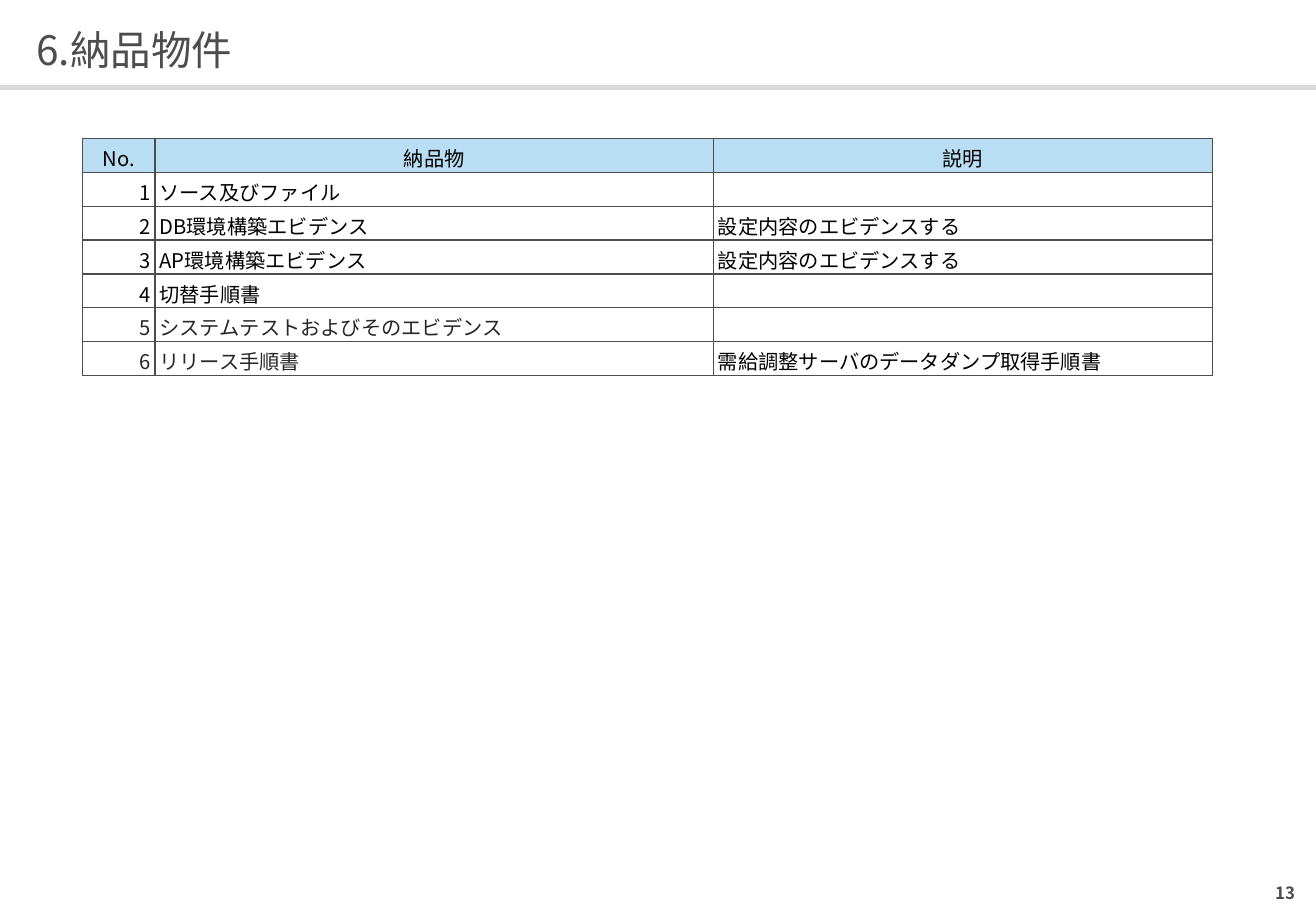
from dataclasses import dataclass

from lxml import etree
from pptx import Presentation
from pptx.dml.color import RGBColor
from pptx.enum.shapes import MSO_SHAPE
from pptx.enum.text import MSO_ANCHOR, MSO_AUTO_SIZE, PP_ALIGN
from pptx.oxml.ns import qn
from pptx.util import Pt

RECT = MSO_SHAPE.RECTANGLE
MIDDLE = MSO_ANCHOR.MIDDLE
NO_FIT = MSO_AUTO_SIZE.NONE
LEFT, CENTER, RIGHT = PP_ALIGN.LEFT, PP_ALIGN.CENTER, PP_ALIGN.RIGHT


@dataclass(frozen=True)
class Theme:
    font: str = "Noto Sans CJK JP"
    gray: str = "4D4D4D"
    black: str = "000000"
    dark: str = "262626"
    rule: str = "D9D9D9"
    head: str = "B9DDF3"
    white: str = "FFFFFF"
    title: float = 24
    body: float = 12
    small: float = 10
    border: float = 0.75
    inset: float = 2.7


class Page:
    def __init__(self, deck, theme):
        self.theme = theme
        self.slide = deck.slides.add_slide(deck.slide_layouts[5])

    def text(self, para, words, size, color, align=LEFT, bold=False):
        para.alignment = align
        run = para.add_run()
        run.text = words
        font = run.font
        font.size, font.bold, font.name = Pt(size), bold, self.theme.font
        font.color.rgb = RGBColor.from_string(color)
        etree.SubElement(run._r.rPr, qn("a:ea"), typeface=self.theme.font)

    def frame(self, shape):
        frame = shape.text_frame
        frame.word_wrap, frame.auto_size = True, NO_FIT
        frame.vertical_anchor = MIDDLE
        frame.margin_left = frame.margin_right = 0
        frame.margin_top = frame.margin_bottom = 0
        return frame.paragraphs[0]

    def title(self, words, *box):
        shape = self.slide.shapes.title
        shape.left, shape.top, shape.width, shape.height = map(Pt, box)
        para = self.frame(shape)
        para.line_spacing = 1.1
        self.text(para, words, self.theme.title, self.theme.gray)

    def bar(self, *box):
        shape = self.slide.shapes.add_shape(RECT, *map(Pt, box))
        shape.shadow.inherit = False
        shape.fill.solid()
        shape.fill.fore_color.rgb = RGBColor.from_string(self.theme.rule)
        shape.line.fill.background()

    def number(self, words, *box):
        para = self.frame(self.slide.shapes.add_textbox(*map(Pt, box)))
        self.text(para, words, self.theme.small, self.theme.gray, RIGHT, True)

    def cell(self, cell, words, color, fill, align):
        theme = self.theme
        cell.vertical_anchor = MIDDLE
        cell.margin_left = cell.margin_right = cell.margin_top = Pt(theme.inset)
        cell.margin_bottom = 0
        props = cell._tc.get_or_add_tcPr()
        for side in ("lnL", "lnR", "lnT", "lnB"):
            line = etree.SubElement(props, qn(f"a:{side}"), w=str(Pt(theme.border)))
            paint = etree.SubElement(line, qn("a:solidFill"))
            etree.SubElement(paint, qn("a:srgbClr"), val=theme.gray)
        cell.fill.solid()
        cell.fill.fore_color.rgb = RGBColor.from_string(fill)
        para = cell.text_frame.paragraphs[0]
        if words:
            self.text(para, words, theme.body, color, align)
        else:
            # Keeps an empty cell as low as its row
            size = str(int(theme.body * 100))
            etree.SubElement(para._p, qn("a:endParaRPr"), sz=size)

    def table(self, left, top, widths, height, head, rows):
        theme = self.theme
        count = len(rows) + 1
        table = self.slide.shapes.add_table(
            count, len(widths), Pt(left), Pt(top),
            Pt(sum(widths)), Pt(height * count)).table
        for col, width in zip(table.columns, widths):
            col.width = Pt(width)
        for row in table.rows:
            row.height = Pt(height)
        for c, words in enumerate(head):
            self.cell(table.cell(0, c), words, theme.black, theme.head, CENTER)
        for r, (item, note, color) in enumerate(rows, 1):
            self.cell(table.cell(r, 0), str(r), color, theme.white, RIGHT)
            self.cell(table.cell(r, 1), item, color, theme.white, LEFT)
            self.cell(table.cell(r, 2), note, theme.black, theme.white, LEFT)


def main():
    theme = Theme()
    deck = Presentation()
    deck.slide_width, deck.slide_height = Pt(780), Pt(540)
    page = Page(deck, theme)

    # Heading and rule
    page.bar(0, 50.4, 780, 2.9)
    page.title("6.納品物件", 21.6, 12.24, 737.3, 31)

    # Deliverables
    rows = [
        ("ソース及びファイル", "", theme.black),
        ("DB環境構築エビデンス", "設定内容のエビデンスする", theme.black),
        ("AP環境構築エビデンス", "設定内容のエビデンスする", theme.black),
        ("切替手順書", "", theme.black),
        ("システムテストおよびそのエビデンス", "", theme.dark),
        ("リリース手順書", "需給調整サーバのデータダンプ取得手順書", theme.dark),
    ]
    page.table(48.9, 81.9, (43, 331, 295.7), 20.06,
               ("No.", "納品物", "説明"), rows)

    # Page number
    page.number("13", 585.4, 519.1, 182.2, 20.2)
    deck.save("out.pptx")


if __name__ == "__main__":
    main()
